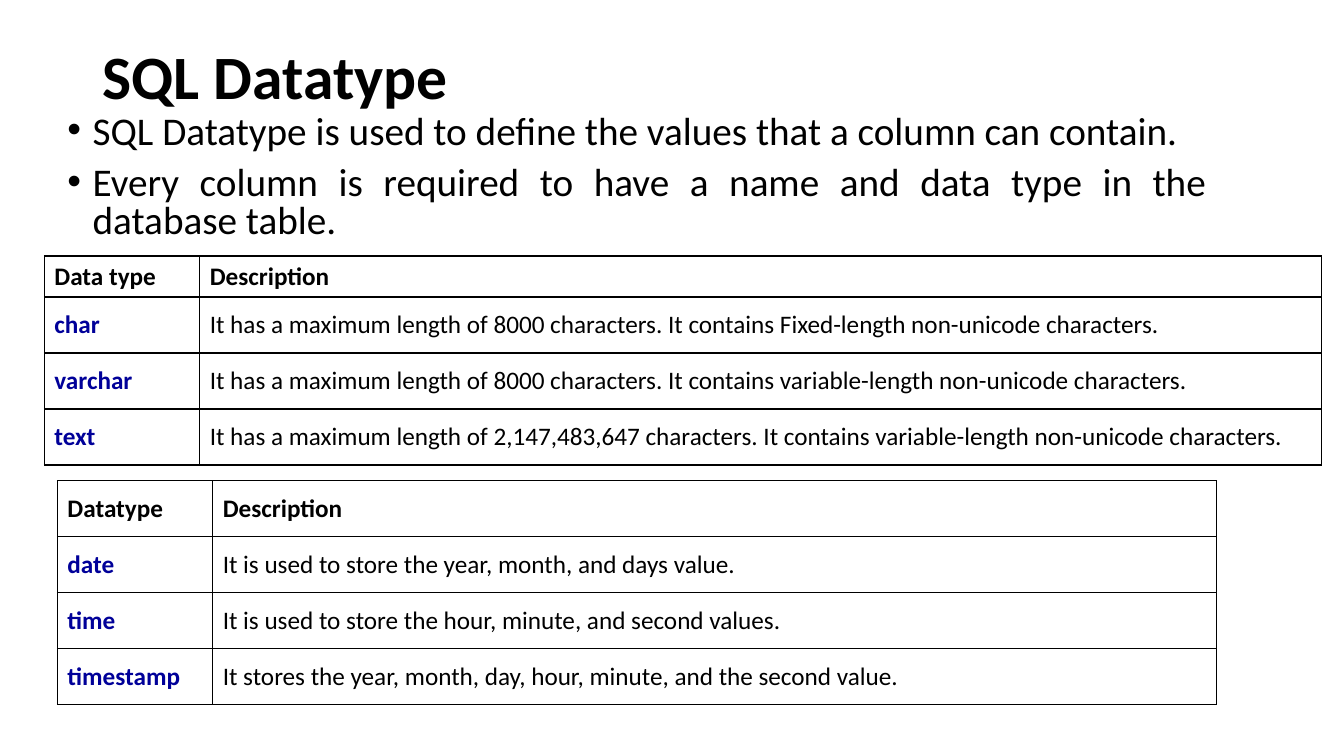
"""Build the SQL Datatype slide with two tables of types."""
from lxml.etree import SubElement as Sub
from pptx import Presentation
from pptx.dml.color import RGBColor
from pptx.enum.text import MSO_ANCHOR as ANCHOR, MSO_AUTO_SIZE as FIT, PP_ALIGN as ALIGN
from pptx.oxml.ns import qn
from pptx.util import Pt

FONT, BLACK, NAVY = "Calibri", "000000", "000099"
TITLE = "SQL Datatype"
POINTS = [
    "SQL Datatype is used to define the values that a column can contain.",
    "Every column is required to have a name and data type in the database table.",
]
TEXT_TYPES = [
    ("Data type", "Description"),
    ("char", "It has a maximum length of 8000 characters. It contains Fixed-length non-unicode characters."),
    ("varchar", "It has a maximum length of 8000 characters. It contains variable-length non-unicode characters."),
    ("text", "It has a maximum length of 2,147,483,647 characters. "
             "It contains variable-length non-unicode characters."),
]
DATE_TYPES = [
    ("Datatype", "Description"),
    ("date", "It is used to store the year, month, and days value."),
    ("time", "It is used to store the hour, minute, and second values."),
    ("timestamp", "It stores the year, month, day, hour, minute, and the second value."),
]
TABLES = [
    (TEXT_TYPES, 31.7, 182.9, 912, 29.3),
    (DATE_TYPES, 41, 343.4, 828, 40),
]
NAME_WIDTH, ROW_HEIGHT = 111, 40


def rgb(color):
    return RGBColor.from_string(color)


def add_run(p, text, size, color=BLACK, bold=False):
    r = p.add_run()
    r.text = text
    r.font.name, r.font.size, r.font.bold = FONT, Pt(size), bold
    r.font.color.rgb = rgb(color)


def place(sp, left, top, width, height):
    sp.left, sp.top, sp.width, sp.height = Pt(left), Pt(top), Pt(width), Pt(height)
    tf = sp.text_frame
    tf.word_wrap, tf.auto_size = True, FIT.NONE
    return tf


def add_borders(cell):
    tc_pr = cell._tc.get_or_add_tcPr()
    for side in ("lnL", "lnR", "lnT", "lnB"):
        ln = Sub(tc_pr, qn(f"a:{side}"), w=str(Pt(1)))
        Sub(Sub(ln, qn("a:solidFill")), qn("a:srgbClr"), val=BLACK)


def add_type_table(s, rows, left, top, width, head_height):
    height = head_height + ROW_HEIGHT * (len(rows) - 1)
    table = s.shapes.add_table(len(rows), 2, Pt(left), Pt(top), Pt(width), Pt(height)).table
    table.columns[0].width = Pt(NAME_WIDTH)
    table.columns[1].width = Pt(width - NAME_WIDTH)
    for i, row in enumerate(rows):
        table.rows[i].height = Pt(ROW_HEIGHT if i else head_height)
        for j, text in enumerate(row):
            cell = table.cell(i, j)
            cell.vertical_anchor = ANCHOR.MIDDLE
            add_borders(cell)
            cell.fill.background()
            color = NAVY if i and j == 0 else BLACK
            add_run(cell.text_frame.paragraphs[0], text, 18, color, i == 0 or j == 0)


def main():
    prs = Presentation()
    prs.slide_width, prs.slide_height = Pt(960), Pt(540)
    s = prs.slides.add_slide(prs.slide_layouts[1])

    tf = place(s.shapes.title, 66, 28.8, 828, 104.4)
    tf.vertical_anchor, tf.margin_bottom = ANCHOR.MIDDLE, Pt(52)
    p = tf.paragraphs[0]
    p.alignment, p.line_spacing = ALIGN.LEFT, 0.9
    add_run(p, TITLE, 44, bold=True)

    tf = place(s.placeholders[1], 41, 78.5, 828, 104.4)
    for i, text in enumerate(POINTS):
        p = tf.add_paragraph() if i else tf.paragraphs[0]
        p.alignment, p.line_spacing, p.space_before = ALIGN.JUSTIFY, 0.8, Pt(10 if i else 0)
        p_pr = p._p.get_or_add_pPr()
        p_pr.set("marL", str(Pt(18)))
        p_pr.set("indent", str(Pt(-18)))
        add_run(p, text, 28)

    for spec in TABLES:
        add_type_table(s, *spec)
    prs.save("out.pptx")


if __name__ == "__main__":
    main()
